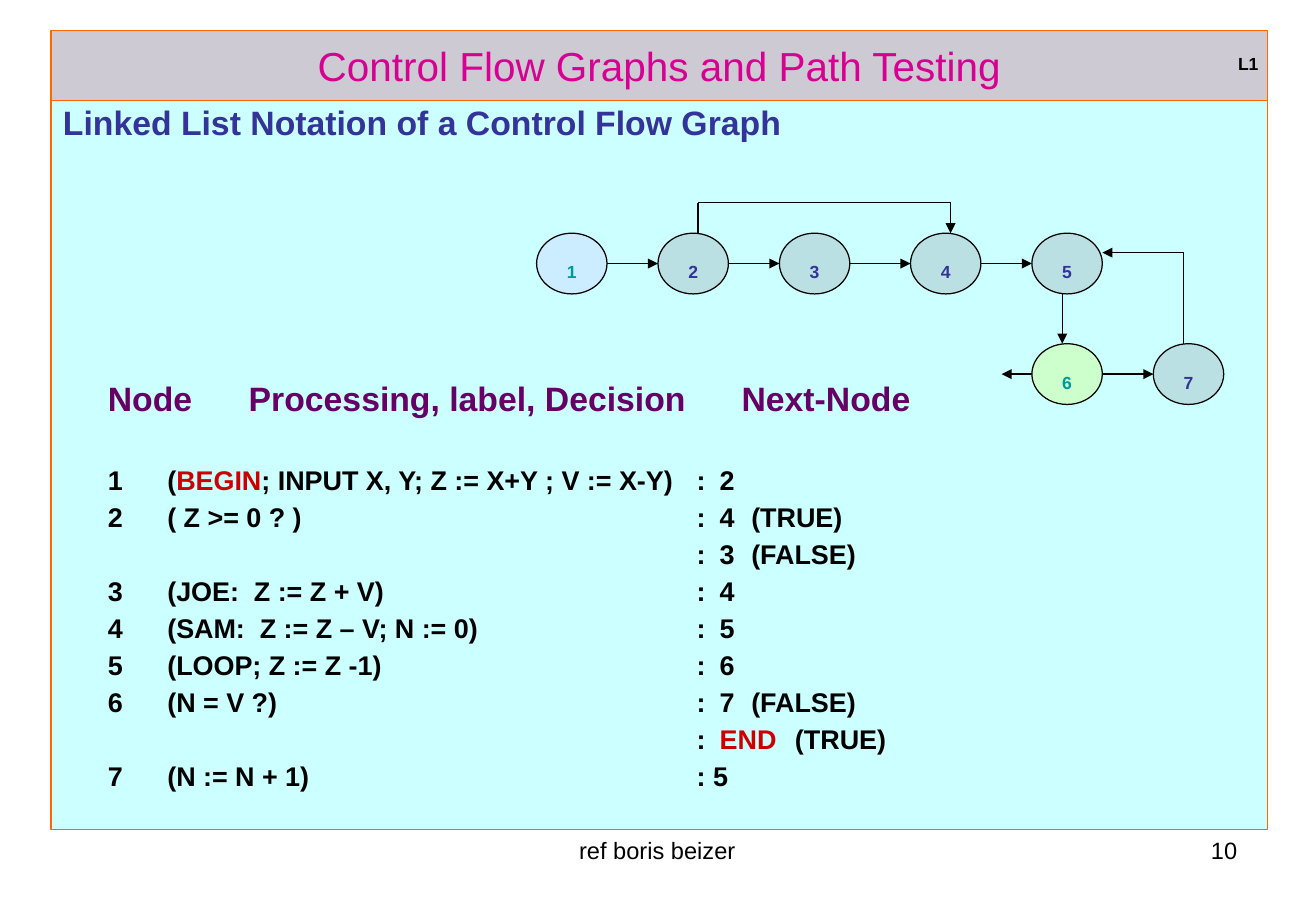
from lxml import etree
from pptx import Presentation
from pptx.dml.color import RGBColor
from pptx.enum import shapes, text
from pptx.oxml import ns
from pptx.util import Inches, Pt

BLACK = RGBColor(0x00, 0x00, 0x00)
RED = RGBColor(0xCC, 0x00, 0x00)
ORANGE = RGBColor(0xFF, 0x66, 0x00)
MAGENTA = RGBColor(0xD6, 0x00, 0x93)
PURPLE = RGBColor(0x66, 0x00, 0x66)
INDIGO = RGBColor(0x33, 0x33, 0x99)
TEAL = RGBColor(0x00, 0x99, 0x99)
GREY = RGBColor(0xCE, 0xCA, 0xD4)
CYAN = RGBColor(0xCC, 0xFF, 0xFF)
NODE_BLUE = RGBColor(0xBB, 0xE0, 0xE3)
START_BLUE = RGBColor(0xCC, 0xEC, 0xFF)
EXIT_GREEN = RGBColor(0xCC, 0xFF, 0xCC)

NODE_W, NODE_H = 0.58, 0.5
HEADER_TABS = (0.37, 1.53, 5.59)
ROW_TABS = (0.37, 0.86, 5.22, 5.41, 5.67, 6.03)
LISTING = [
    [("1\t(", BLACK), ("BEGIN", RED), ("; INPUT X, Y; Z := X+Y ; V := X-Y)\t:\t2", BLACK)],
    [("2\t( Z >= 0 ? )\t:\t4\t(TRUE)", BLACK)],
    [("\t\t:\t3\t(FALSE)", BLACK)],
    [("3\t(JOE:  Z := Z + V)\t:\t4", BLACK)],
    [("4\t(SAM:  Z := Z – V; N := 0)\t:\t5", BLACK)],
    [("5\t(LOOP; Z := Z -1)\t:\t6", BLACK)],
    [("6\t(N = V ?)\t:\t7\t(FALSE)", BLACK)],
    [("\t\t:\t", BLACK), ("END", RED), ("\t(TRUE)", BLACK)],
    [("7\t(N := N + 1)\t: 5", BLACK)],
]


def style(r, size, color, bold=False):
    r.font.name = "Arial"
    r.font.size = Pt(size)
    r.font.bold = bold
    r.font.color.rgb = color


def lower(r):
    r._r.get_or_add_rPr().set("baseline", "-12000")


def paint(sp, fill, line):
    sp.fill.solid()
    sp.fill.fore_color.rgb = fill
    sp.line.color.rgb = line
    sp.line.width = Pt(0.75)


def place(sp, box):
    sp.left, sp.top, sp.width, sp.height = (Inches(v) for v in box)


def add_title(s, box):
    sp = s.shapes.title
    place(sp, box)
    paint(sp, GREY, ORANGE)
    tf = sp.text_frame
    tf.text = "Control Flow Graphs and Path Testing"
    tf.vertical_anchor = text.MSO_ANCHOR.MIDDLE
    p = tf.paragraphs[0]
    p.alignment = text.PP_ALIGN.CENTER
    style(p.runs[0], 24, MAGENTA)


def add_label(s, box, words, size, align, bold=False, wrap=True):
    tf = s.shapes.add_textbox(*(Inches(v) for v in box)).text_frame
    tf.word_wrap = wrap
    tf.text = words
    p = tf.paragraphs[0]
    p.alignment = align
    style(p.runs[0], size, BLACK, bold)
    return p.runs[0]


def set_tabs(p, stops):
    tabs = etree.SubElement(p._p.get_or_add_pPr(), ns.qn("a:tabLst"))
    for stop in stops:
        etree.SubElement(tabs, ns.qn("a:tab"), pos=str(Inches(stop)), algn="l")


def add_line(tf, runs, size, before, stops):
    p = tf.add_paragraph()
    p.line_spacing = 0.9
    p.space_before = Pt(before)
    set_tabs(p, stops)
    for i, (words, color) in enumerate(runs):
        r = p.add_run()
        r.text = words if i else "\t" + words
        style(r, size, color, True)


def add_listing(s, box):
    sp = s.shapes.add_shape(shapes.MSO_SHAPE.RECTANGLE, *(Inches(v) for v in box))
    sp.shadow.inherit = False
    paint(sp, CYAN, ORANGE)
    tf = sp.text_frame
    tf.word_wrap = True
    tf.vertical_anchor = text.MSO_ANCHOR.TOP
    tf.text = "Linked List Notation of a Control Flow Graph"
    p = tf.paragraphs[0]
    p.line_spacing = 0.9
    style(p.runs[0], 20, INDIGO, True)
    add_line(tf, [("Node\tProcessing, label, Decision\tNext-Node", PURPLE)], 20, 142, HEADER_TABS)
    for i, runs in enumerate(LISTING):
        add_line(tf, runs, 16, 4.7 if i else 28.3, ROW_TABS)
    for p in tf.paragraphs:
        p.alignment = text.PP_ALIGN.LEFT


def add_node(s, x, y, name, fill, color):
    sp = s.shapes.add_shape(shapes.MSO_SHAPE.OVAL, Inches(x), Inches(y),
                            Inches(NODE_W), Inches(NODE_H))
    sp.shadow.inherit = False
    paint(sp, fill, BLACK)
    tf = sp.text_frame
    tf.word_wrap = False
    tf.vertical_anchor = text.MSO_ANCHOR.MIDDLE
    tf.text = name
    p = tf.paragraphs[0]
    p.alignment = text.PP_ALIGN.CENTER
    style(p.runs[0], 18, color, True)
    lower(p.runs[0])


def add_route(s, points):
    for i, (start, end) in enumerate(zip(points, points[1:]), 2):
        c = s.shapes.add_connector(shapes.MSO_CONNECTOR.STRAIGHT,
                                   *(Inches(v) for v in (*start, *end)))
        c.line.color.rgb = BLACK
        c.line.width = Pt(0.75)
        if i == len(points):
            etree.SubElement(c.line._get_or_add_ln(), ns.qn("a:tailEnd"), type="triangle")
        etree.SubElement(c._element.spPr, ns.qn("a:effectLst"))


def add_graph(s, left, top):
    upper, below = top + 0.25, top + 1.16
    xs = [left + dx for dx in (0, 1, 2, 3.08, 4.08)]
    x5, x7 = xs[-1], left + 5.08
    mid, low_mid = upper + NODE_H / 2, below + NODE_H / 2
    for a, b in zip(xs, xs[1:]):
        add_route(s, [(a + NODE_W, mid), (b, mid)])
    skip_from, skip_to = xs[1] + 0.33, xs[3] + 0.33
    add_route(s, [(skip_from, upper), (skip_from, top), (skip_to, top), (skip_to, upper)])
    add_route(s, [(x5 + 0.25, upper + NODE_H), (x5 + 0.25, below)])
    add_route(s, [(x5 + NODE_W, low_mid), (x7, low_mid)])
    add_route(s, [(x5, low_mid), (x5 - 0.25, low_mid)])
    back_x, back_y = x7 + 0.25, upper + 0.16
    add_route(s, [(back_x, below), (back_x, back_y), (x5 + NODE_W, back_y)])
    for i, x in enumerate(xs, 1):
        fill, color = (START_BLUE, TEAL) if i == 1 else (NODE_BLUE, INDIGO)
        add_node(s, x, upper, str(i), fill, color)
    add_node(s, x5, below, "6", EXIT_GREEN, TEAL)
    add_node(s, x7, below, "7", NODE_BLUE, INDIGO)


def main():
    prs = Presentation()
    prs.slide_width, prs.slide_height = Inches(10.84), Inches(7.5)
    s = prs.slides.add_slide(prs.slide_layouts[5])
    add_listing(s, (0.42, 0.83, 10.02, 6))
    add_title(s, (0.42, 0.25, 10.02, 0.58))
    level = add_label(s, (10.1, 0.25, 0.37, 0.41), "L1", 18, text.PP_ALIGN.LEFT, True, False)
    lower(level)
    add_graph(s, 4.42, 1.67)
    add_label(s, (3.7, 6.83, 3.43, 0.52), "ref boris beizer", 14, text.PP_ALIGN.CENTER)
    add_label(s, (7.76, 6.83, 2.53, 0.52), "10", 14, text.PP_ALIGN.RIGHT)
    prs.save("out.pptx")


if __name__ == "__main__":
    main()
